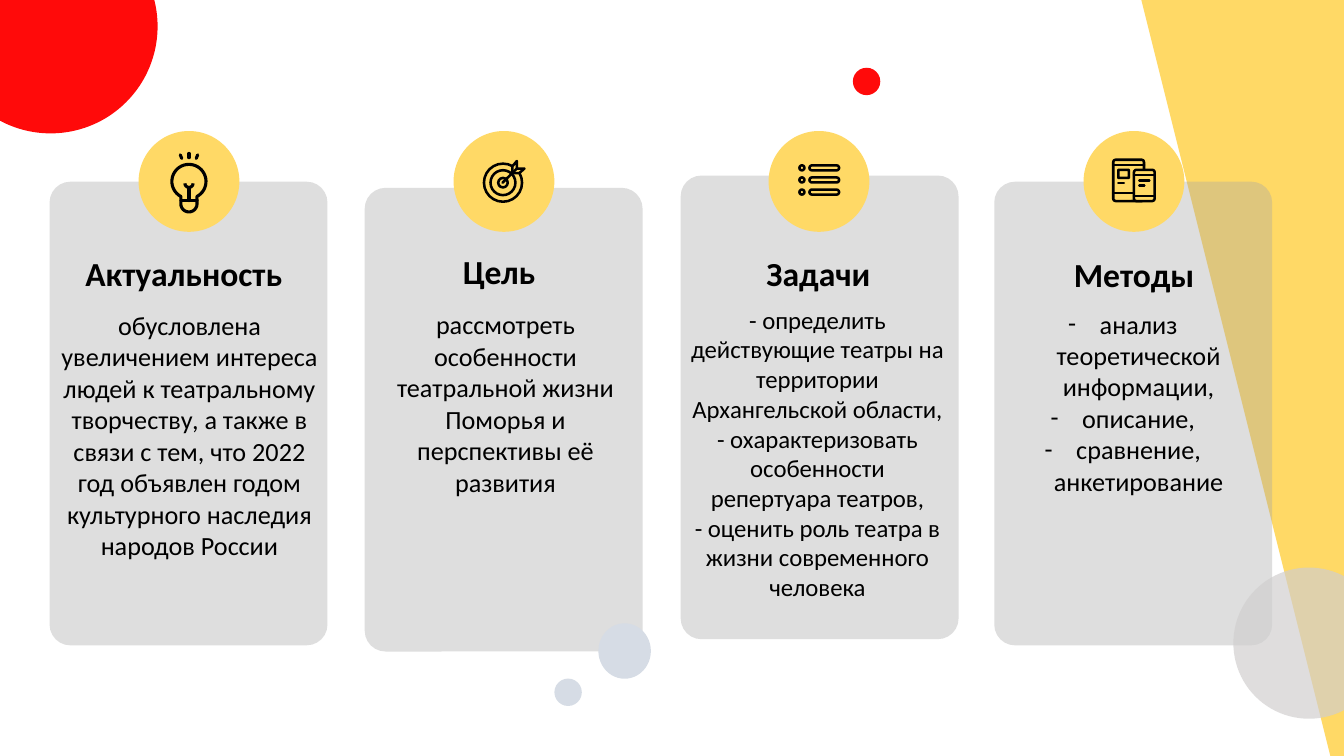
"""Build the slide with the relevance, goal, tasks and methods of a theatre study."""
from dataclasses import dataclass
from math import cos, radians, sin
from typing import NamedTuple, Optional, Union

from lxml.etree import SubElement
from pptx import Presentation
from pptx.dml.color import RGBColor
from pptx.enum.shapes import MSO_CONNECTOR as Link, MSO_SHAPE as Preset
from pptx.enum.text import MSO_ANCHOR as Anchor, MSO_AUTO_SIZE as AutoSize, PP_ALIGN as Align
from pptx.oxml.ns import qn
from pptx.util import Pt

Point = tuple[float, float]


@dataclass(frozen=True)
class Theme:
    font: str = "Calibri"
    ink: str = "000000"
    yellow: str = "FFD966"
    card: str = "A6A6A6"
    red: str = "FF0000"
    mist: str = "D6DCE5"
    haze: str = "D0CECE"
    heading_size: float = 24
    body_size: float = 18.7
    tasks_size: float = 17.7


THEME = Theme()


class Box(NamedTuple):
    left: float
    top: float
    width: float
    height: float


class Stroke(NamedTuple):
    start: Point
    end: Point


class Outline(NamedTuple):
    points: list[Point]
    closed: bool = True
    fill: Optional[str] = None


class Ring(NamedTuple):
    box: Box
    preset: Preset = Preset.OVAL
    corner: Optional[float] = None
    fill: Optional[str] = None


class Dot(NamedTuple):
    box: Box
    color: str
    opacity: int = 100


Mark = Union[Stroke, Outline, Ring]


@dataclass(frozen=True)
class Card:
    panel: Point
    heading: str
    heading_at: Point
    paragraphs: list[str]
    body: Box
    icon: list[Mark]
    icon_weight: float = 1.8
    size: float = THEME.body_size
    dashed: bool = False
    slots: tuple[Optional[int], Optional[int]] = (None, None)


def arc(center: Point, radius: float, start: int, end: int, step: int) -> list[Point]:
    return [(center[0] + radius * cos(radians(a)), center[1] + radius * sin(radians(a)))
            for a in range(start, end + (1 if step > 0 else -1), step)]


def circle(x: float, y: float, radius: float) -> Ring:
    return Ring(Box(x - radius, y - radius, 2 * radius, 2 * radius))


BULB: list[Mark] = [
    Outline(arc((0, 0), 12.2, 118, 422, 8) + arc((0, 16), 5.8, 0, 180, 15)),
    Outline(arc((0, 1.4), 2.9, 0, 180, 15), closed=False),
    Stroke((0, 4.3), (0, 13.7)),
    Stroke((-5.8, 13.7), (5.8, 13.7)),
    Stroke((0, -20), (0, -17)),
    Stroke((-6.2, -19), (-5.2, -16.4)),
    Stroke((6.2, -19), (5.2, -16.4)),
]
TARGET: list[Mark] = [
    *(circle(-0.7, 0.9, radius) for radius in (13.6, 8.9, 3.4)),
    Outline([(6, -6), (6, -10.8), (9.2, -14.6), (9.2, -9.2), (14.6, -9.2), (11, -6)],
            fill=THEME.yellow),
    Stroke((-1, 0.9), (9.2, -9.2)),
]
CHECKLIST: list[Mark] = [
    mark for top in (-11.5, -2.85, 5.8)
    for mark in (Ring(Box(-14, top, 3.6, 3.6)),
                 Ring(Box(-6.8, top, 21.2, 3.6), Preset.ROUNDED_RECTANGLE, 0.5))
]
DEVICES: list[Mark] = [
    Ring(Box(-14.8, -15.5, 22, 29.5), Preset.ROUNDED_RECTANGLE, 0.08),
    Stroke((-14.8, -11.9), (7.2, -11.9)),
    Stroke((-14.8, 8.3), (0, 8.3)),
    Ring(Box(-11.2, -8.3, 7.6, 5.8), Preset.ROUNDED_RECTANGLE, 0.08),
    Stroke((-11.2, 1.1), (-7.2, 1.1)),
    Ring(Box(0, -8.3, 14.8, 22.3), Preset.ROUNDED_RECTANGLE, 0.12, THEME.yellow),
    Stroke((0, -4.7), (14.8, -4.7)),
    Stroke((0, 10.4), (14.8, 10.4)),
    Stroke((3.8, -0.7), (11, -0.7)),
    Stroke((3.8, 2.9), (7.4, 2.9)),
]
CARDS = [
    Card((35.4, 129.8), "Актуальность ", (35.4, 177),
         ["обусловлена увеличением интереса людей к театральному творчеству, а также в связи "
          "с тем, что 2022 год объявлен годом культурного наследия народов России"],
         Box(36.7, 217.4, 197.3, 227.5), BULB, 2.2),
    Card((260.5, 134.2), "Цель ", (260.6, 175.7),
         ["рассмотреть особенности театральной жизни Поморья и перспективы её развития"],
         Box(265, 217, 192.2, 162.7), TARGET),
    Card((486.2, 125.4), "Задачи", (486, 177),
         ["- определить действующие театры на территории Архангельской области,",
          "- охарактеризовать особенности репертуара театров,",
          "- оценить роль театра в жизни современного человека"],
         Box(485.3, 213.8, 197.3, 225.4), CHECKLIST, size=THEME.tasks_size, slots=(1, 2)),
    Card((710.2, 129.8), "Методы", (711.4, 178),
         ["анализ теоретической информации,", "описание,", "сравнение, анкетирование"],
         Box(721.4, 216.3, 161.3, 145.4), DEVICES, dashed=True, slots=(3, 4)),
]
DOTS = [
    Dot(Box(-40.3, -57.6, 152.9, 152.9), THEME.red, 96),
    Dot(Box(609.2, 48.4, 19.6, 19.6), THEME.red, 96),
    Dot(Box(396, 484.7, 19.6, 19.6), THEME.mist),
    Dot(Box(427.4, 445.2, 37.5, 39.6), THEME.mist),
    Dot(Box(881, 405.4, 108, 108), THEME.haze, 68),
]
PANEL_SIZE = (198.5, 331.2)
HEADING_SIZE = (197.3, 36)
BADGE = Box(99, 93.6, 72, 72)
BADGE_STEP = 225


def paint(shape, fill: Optional[str], opacity: int = 100, weight: float = 0) -> None:
    shape.shadow.inherit = False
    if fill:
        shape.fill.solid()
        shape.fill.fore_color.rgb = RGBColor.from_string(fill)
    else:
        shape.fill.background()
    if opacity < 100:
        color = shape._element.spPr.find(".//" + qn("a:srgbClr"))
        SubElement(color, qn("a:alpha")).set("val", str(opacity * 1000))
    if weight:
        shape.line.color.rgb = RGBColor.from_string(THEME.ink)
        shape.line.width = Pt(weight)
    else:
        shape.line.fill.background()


def add_preset(slide, preset: Preset, box: Box, corner: Optional[float] = None):
    shape = slide.shapes.add_shape(preset, *map(Pt, box))
    if corner is not None:
        shape.adjustments[0] = corner
    return shape


def draw_mark(slide, mark: Mark, x: float, y: float, weight: float) -> None:
    if isinstance(mark, Stroke):
        (x1, y1), (x2, y2) = mark
        line = slide.shapes.add_connector(
            Link.STRAIGHT, Pt(x + x1), Pt(y + y1), Pt(x + x2), Pt(y + y2))
        line.line.color.rgb = RGBColor.from_string(THEME.ink)
        line.line.width = Pt(weight)
        line._element.spPr.get_or_add_ln().set("cap", "rnd")
        SubElement(line._element.spPr, qn("a:effectLst"))
    elif isinstance(mark, Outline):
        first, *rest = [(Pt(x + px), Pt(y + py)) for px, py in mark.points]
        builder = slide.shapes.build_freeform(*first)
        builder.add_line_segments(rest, close=mark.closed)
        paint(builder.convert_to_shape(), mark.fill, weight=weight)
    else:
        box = mark.box._replace(left=x + mark.box.left, top=y + mark.box.top)
        paint(add_preset(slide, mark.preset, box, mark.corner), mark.fill, weight=weight)


def write(slide, box: Box, paragraphs: list[str], size: float, bold: bool = False,
          dashed: bool = False, slot: Optional[int] = None) -> None:
    if slot is None:
        holder = slide.shapes.add_textbox(*map(Pt, box))
    else:
        holder = slide.placeholders[slot]
        holder.left, holder.top, holder.width, holder.height = map(Pt, box)
        slide.shapes._spTree.append(holder._element)
    frame = holder.text_frame
    frame.word_wrap = True
    frame.auto_size = AutoSize.SHAPE_TO_FIT_TEXT
    frame.vertical_anchor = Anchor.TOP
    frame.text = "\n".join(paragraphs)
    for paragraph in frame.paragraphs:
        props = paragraph._p.get_or_add_pPr()
        indent = Pt(22.5) if dashed else 0
        props.set("marL", str(indent))
        props.set("indent", str(-indent))
        if dashed:
            SubElement(props, qn("a:buFont")).set("typeface", THEME.font)
            SubElement(props, qn("a:buChar")).set("char", "-")
        else:
            SubElement(props, qn("a:buNone"))
        paragraph.alignment = Align.CENTER
        paragraph.space_before = Pt(0)
        font = paragraph.font
        font.name, font.size, font.bold = THEME.font, Pt(size), bold
        font.color.rgb = RGBColor.from_string(THEME.ink)


def draw_card(slide, card: Card, badge: Box) -> None:
    panel = add_preset(slide, Preset.ROUNDED_RECTANGLE, Box(*card.panel, *PANEL_SIZE), 0.075)
    paint(panel, THEME.card, 37)
    heading_slot, body_slot = card.slots
    write(slide, Box(*card.heading_at, *HEADING_SIZE), [card.heading], THEME.heading_size,
          bold=True, slot=heading_slot)
    write(slide, card.body, card.paragraphs, card.size, dashed=card.dashed, slot=body_slot)
    paint(add_preset(slide, Preset.OVAL, badge), THEME.yellow)
    for mark in card.icon:
        draw_mark(slide, mark, badge.left + badge.width / 2, badge.top + badge.height / 2,
                  card.icon_weight)


def main() -> None:
    deck = Presentation()
    deck.slide_width, deck.slide_height = Pt(960), Pt(540)
    slide = deck.slides.add_slide(deck.slide_layouts.get_by_name("Comparison"))
    slide.shapes._spTree.remove(slide.shapes.title._element)
    band = add_preset(slide, Preset.PARALLELOGRAM, Box(815.3, 0, 631.4, 540))
    band._element.spPr.find(qn("a:xfrm")).set("flipH", "1")
    paint(band, THEME.yellow)
    for column, card in enumerate(CARDS):
        draw_card(slide, card, BADGE._replace(left=BADGE.left + column * BADGE_STEP))
    for dot in DOTS:
        paint(add_preset(slide, Preset.OVAL, dot.box), dot.color, dot.opacity)
    deck.save("out.pptx")


if __name__ == "__main__":
    main()
